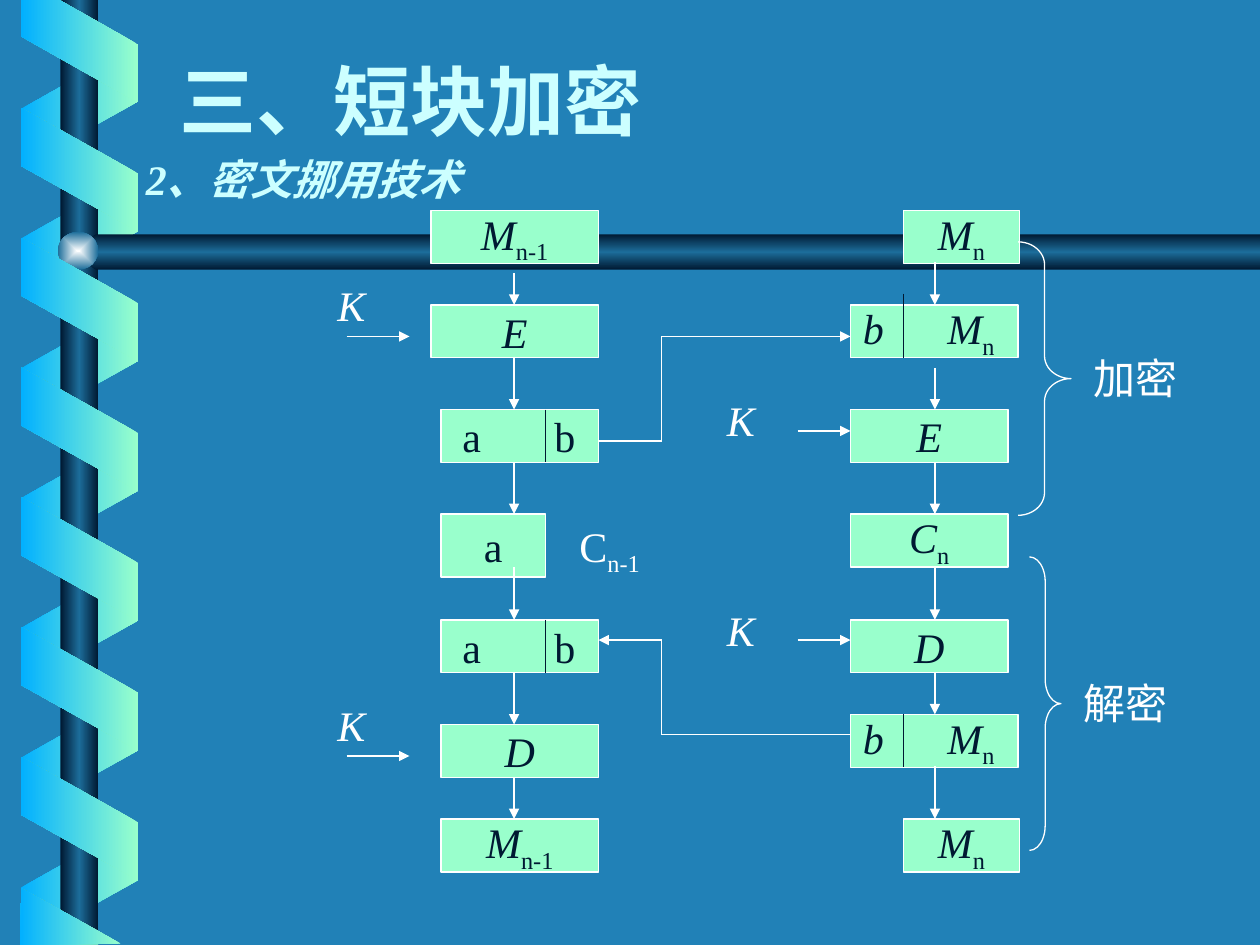
import pptx
import pptx.dml.color
import pptx.enum.shapes
import pptx.enum.text
import pptx.oxml
import pptx.oxml.ns
import pptx.util

Inches = pptx.util.Inches
Pt = pptx.util.Pt
qn = pptx.oxml.ns.qn
SHAPES = pptx.enum.shapes.MSO_SHAPE
ANCHOR = pptx.enum.text.MSO_ANCHOR
ALIGN = pptx.enum.text.PP_ALIGN

COLORS = {
    "page": "2181B7",
    "blue": "01B0FF",
    "mint": "99FFCC",
    "navy": "001932",
    "steel": "1C6D9A",
    "shine": "FEFFFF",
    "heading": "CCFFFF",
    "white": "FFFFFF",
}
TEXT_FONT = "Times New Roman"
HELIX_STEP = 1.03
TUBE = ["navy", "steel", "navy"]


def color(name):
    return pptx.dml.color.RGBColor.from_string(COLORS[name])


def child(parent, tag, **attributes):
    element = parent.makeelement(qn(tag), attributes)
    parent.append(element)
    return element


def paint_gradient(shape, names, angle=None):
    shape.shadow.inherit = False
    shape.line.fill.background()
    shape.fill.gradient()
    gradient = shape._element.spPr.find(qn("a:gradFill"))
    gradient.set("rotWithShape", "0")
    for element in list(gradient):
        gradient.remove(element)
    stops = child(gradient, "a:gsLst")
    for index, name in enumerate(names):
        position = 100000 * index // (len(names) - 1)
        stop = child(stops, "a:gs", pos=str(position))
        child(stop, "a:srgbClr", val=COLORS[name])
    if angle is None:
        center = child(gradient, "a:path", path="rect")
        child(center, "a:fillToRect", l="50000", t="50000", r="50000", b="50000")
    else:
        child(gradient, "a:lin", ang=str(angle * 60000), scaled="0")


def add_preset(page, kind, left, top, width, height):
    return page.shapes.add_shape(
        kind, Inches(left), Inches(top), Inches(width), Inches(height))


def add_ribbon(page, top, names, rotation, flipped=False):
    ribbon = add_preset(page, SHAPES.PARALLELOGRAM, 0.14, top, 0.98, 0.93)
    ribbon.adjustments[0] = 0.56
    ribbon.rotation = rotation
    if flipped:
        ribbon._element.spPr.xfrm.set("flipH", "1")
    paint_gradient(ribbon, names, 180)


def add_outline(page, points, names, angle):
    corners = [(Inches(x), Inches(y)) for x, y in points]
    builder = page.shapes.build_freeform(*corners[0])
    builder.add_line_segments(corners[1:], close=True)
    paint_gradient(builder.convert_to_shape(), names, angle)


def write(frame, text, ink, italic=False, bold=False, size=24, font=TEXT_FONT):
    para = frame.paragraphs[0]
    for level, part in enumerate(text.split("_")):
        span = para.add_run()
        span.text = part
        span.font.name = font
        span.font.size = Pt(size)
        span.font.bold = bold
        span.font.italic = italic and level == 0
        span.font.color.rgb = color(ink)
        if level:
            span._r.get_or_add_rPr().set("baseline", "-25000")
    return para


def add_label(page, left, top, width, height, text, ink="white", wrap=True,
              anchor=ANCHOR.TOP, **style):
    box = page.shapes.add_textbox(
        Inches(left), Inches(top), Inches(width), Inches(height))
    box.text_frame.word_wrap = wrap
    box.text_frame.vertical_anchor = anchor
    write(box.text_frame, text, ink, **style)


def add_block(page, left, top, width, text, italic=True, height=0.42):
    block = add_preset(page, SHAPES.RECTANGLE, left, top, width, height)
    block.shadow.inherit = False
    block.fill.solid()
    block.fill.fore_color.rgb = color("mint")
    block.line.color.rgb = color("white")
    block.line.width = Pt(0.75)
    frame = block.text_frame
    frame.word_wrap = False
    frame.vertical_anchor = ANCHOR.MIDDLE
    frame.paragraphs[0].alignment = ALIGN.CENTER
    write(frame, text, "navy", italic)
    return frame


def add_split_block(page, left, top, width, text, italic, inset, tab):
    frame = add_block(page, left, top, width, text, italic)
    frame.word_wrap = True
    frame.margin_left = Inches(inset)
    para = frame.paragraphs[0]
    para.alignment = ALIGN.LEFT
    tabs = child(para._p.get_or_add_pPr(), "a:tabLst")
    child(tabs, "a:tab", pos=str(Inches(tab)), algn="l")


def add_line(page, x1, y1, x2, y2, arrow=False, ink="white"):
    line = page.shapes.add_connector(
        pptx.enum.shapes.MSO_CONNECTOR.STRAIGHT,
        Inches(x1), Inches(y1), Inches(x2), Inches(y2))
    line.line.color.rgb = color(ink)
    line.line.width = Pt(0.75)
    if arrow:
        child(line.line._get_or_add_ln(), "a:tailEnd", type="triangle")
    child(line._element.spPr, "a:effectLst")


def add_brace(page, left, top, width, height, curve):
    brace = add_preset(page, SHAPES.RIGHT_BRACE, left, top, width, height)
    brace.adjustments[0] = curve
    brace.shadow.inherit = False
    brace.fill.background()
    brace.line.color.rgb = color("white")
    brace.line.width = Pt(0.75)


def add_decoration(page):
    for turn in range(7):
        add_ribbon(page, 0.37 + turn * HELIX_STEP, ["blue", "mint"], 90, True)
    pole = add_preset(page, SHAPES.RECTANGLE, 0.48, 0, 0.3, 7.5)
    paint_gradient(pole, TUBE, 180)
    add_outline(page, [(10, 1.86), (0.76, 1.86), (0.6, 2), (0.76, 2.14),
                       (10, 2.14)], TUBE, 90)
    ball = add_preset(page, SHAPES.OVAL, 0.46, 1.84, 0.32, 0.3)
    paint_gradient(ball, ["shine", "steel"])
    front = ["mint", "blue"]
    for turn in range(6):
        add_ribbon(page, 0.88 + turn * HELIX_STEP, front, 270)
    add_outline(page, [(0.17, 0), (0.17, 0.29), (1.09, 0.81), (1.09, 0.35),
                       (0.47, 0)], front, 180)
    add_outline(page, [(0.96, 7.49), (0.17, 7.05), (0.16, 7.5)], front, 180)


def add_blocks(page):
    for left, top, width, text in [
            (3.42, 1.67, 1.33, "M_n-1"), (3.42, 2.42, 1.33, "E"),
            (3.5, 5.75, 1.25, "D"), (3.5, 6.5, 1.25, "M_n-1"),
            (7.17, 1.67, 0.92, "M_n"), (6.75, 3.25, 1.25, "E"),
            (6.75, 4.08, 1.25, "C_n"), (6.75, 4.92, 1.25, "D"),
            (7.17, 6.5, 0.92, "M_n")]:
        add_block(page, left, top, width, text)
    add_block(page, 3.5, 4.08, 0.83, "a", italic=False, height=0.5)
    for top in (3.25, 4.92):
        add_split_block(page, 3.5, top, 1.25, "a\tb", False, 0.17, 0.73)
        add_line(page, 4.33, top, 4.33, top + 0.42, ink="navy")
    for top, divider_top in ((2.42, 2.33), (5.67, 5.67)):
        add_split_block(page, 6.75, top, 1.33, "b\tM_n", True, 0.1, 0.67)
        add_line(page, 7.17, divider_top, 7.17, top + 0.42, ink="navy")


def add_flow(page):
    columns = {
        4.08: [(2.17, 2.42), (2.83, 3.25), (3.67, 4.08), (4.5, 4.92),
               (5.33, 5.75), (6.17, 6.5)],
        7.42: [(2.08, 2.42), (2.92, 3.25), (3.67, 4.08), (4.5, 4.92),
               (5.33, 5.67), (6.08, 6.5)],
    }
    for x, spans in columns.items():
        for start, end in spans:
            add_line(page, x, start, x, end, arrow=True)
    for start, end, y, label_left, label_top in [
            (2.75, 3.25, 2.67, 2.58, 2.17), (2.75, 3.25, 6, 2.58, 5.5),
            (6.33, 6.75, 3.42, 5.67, 3.08), (6.33, 6.75, 5.08, 5.67, 4.75)]:
        add_line(page, start, y, end, y, arrow=True)
        add_label(page, label_left, label_top, 0.67, 0.5, "K", italic=True)
    for x1, y1, x2, y2, arrow in [
            (5.25, 3.5, 4.75, 3.5, False), (5.25, 2.67, 5.25, 3.5, False),
            (5.25, 2.67, 6.75, 2.67, True), (5.25, 5.83, 6.75, 5.83, False),
            (5.25, 5.08, 5.25, 5.83, False), (5.25, 5.08, 4.75, 5.08, True)]:
        add_line(page, x1, y1, x2, y2, arrow)


def main():
    deck = pptx.Presentation()
    deck.slide_width = Inches(10)
    deck.slide_height = Inches(7.5)
    page = deck.slides.add_slide(deck.slide_layouts[6])
    page.background.fill.solid()
    page.background.fill.fore_color.rgb = color("page")
    add_decoration(page)
    add_label(page, 1.33, 0.46, 7.17, 0.75, "三、短块加密", "heading",
              anchor=ANCHOR.BOTTOM, bold=True, size=44, font="Arial Narrow")
    add_label(page, 1.06, 1.17, 2.78, 0.5, "2、密文挪用技术", "heading",
              wrap=False, bold=True, italic=True)
    add_blocks(page)
    add_flow(page)
    add_brace(page, 8.08, 1.92, 0.42, 2.17, 0.43)
    add_brace(page, 8.17, 4.42, 0.25, 2.33, 0.78)
    add_label(page, 8.58, 2.75, 1.17, 0.5, "加密")
    add_label(page, 8.5, 5.33, 1.17, 0.5, "解密")
    add_label(page, 4.5, 4.08, 1.17, 0.56, "C_n-1")
    deck.save("out.pptx")


if __name__ == "__main__":
    main()
